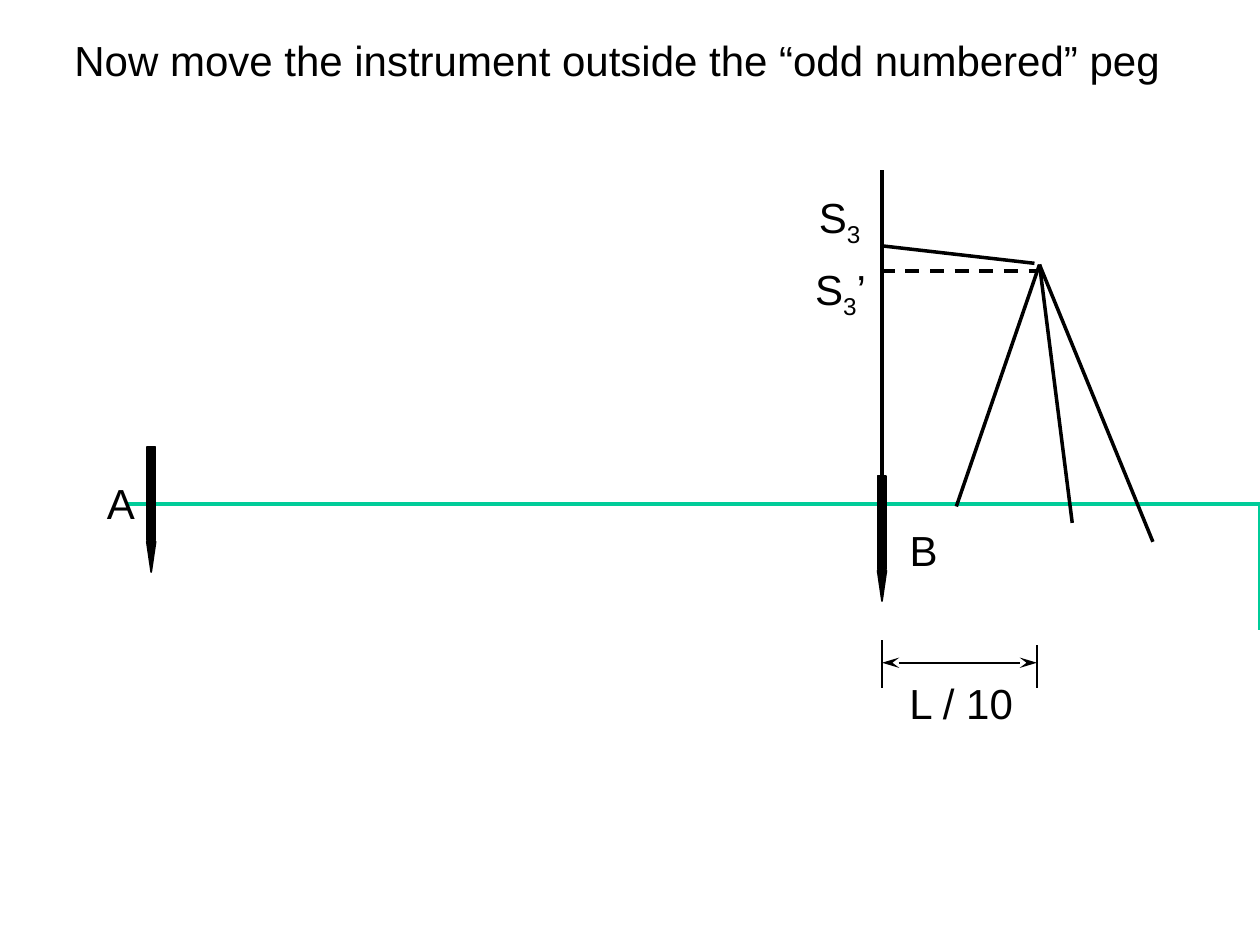
import pptx
import pptx.util
import pptx.dml.color
import pptx.enum.dml
import pptx.enum.shapes
import pptx.enum.text
import pptx.oxml.ns
from lxml import etree

Inches, Pt = pptx.util.Inches, pptx.util.Pt
RGB = pptx.dml.color.RGBColor
SHAPE = pptx.enum.shapes.MSO_SHAPE
STRAIGHT = pptx.enum.shapes.MSO_CONNECTOR.STRAIGHT

THEME = {
    "ink": RGB(0, 0, 0),
    "ground": RGB(0, 0xCC, 0x99),
    "font": "Arial",
    "size": Pt(24),
    "thick": Pt(2),
    "thin": Pt(1),
}

TITLE = ("Now move the instrument outside the “odd numbered” peg", (0.49, 0.22, 8.82, 0.5))

# Each label is a list of (text, is subscript) pieces and a box.
LABELS = [
    ([("S", False), ("3", True), ("’", False)], (6.37, 2.04, 0.61, 0.56)),
    ([("S", False), ("3", True)], (6.4, 1.47, 0.53, 0.56)),
    ([("A", False)], (0.75, 3.74, 0.42, 0.5)),
    ([("B", False)], (7.12, 4.11, 0.42, 0.5)),
    ([("L / 10", False)], (7.12, 5.33, 1.04, 0.5)),
]

GROUND = [
    (0.63, 3.69), (0.68, 3.71), (0.79, 3.72), (0.83, 3.73), (0.87, 3.73), (0.98, 3.75),
    (1.09, 3.75), (1.26, 3.78), (1.3, 3.79), (1.34, 3.79), (1.38, 3.8), (1.44, 3.82),
    (1.6, 3.82), (1.74, 3.83), (1.78, 3.83), (1.91, 3.84), (2.02, 3.86), (2.11, 3.86),
    (2.35, 3.89), (2.6, 3.91), (2.64, 3.93), (2.68, 3.93), (2.74, 3.94), (2.92, 3.94),
    (3.03, 3.95), (3.33, 3.95), (3.44, 3.97), (3.68, 3.99), (3.72, 3.99), (3.82, 4.01),
    (4, 4.01), (4.11, 3.99), (4.67, 3.99), (4.77, 4.01), (4.93, 4.04), (5.08, 4.04),
    (5.2, 4.05), (5.31, 4.05), (5.37, 4.06), (5.53, 4.09), (5.7, 4.1), (5.75, 4.1),
    (5.81, 4.12), (6.92, 4.12), (6.96, 4.1), (7.23, 4.1), (7.27, 4.09), (7.37, 4.09),
    (7.41, 4.08), (7.47, 4.06), (7.51, 4.05), (7.75, 4.05), (7.89, 4.06), (8.07, 4.08),
    (8.18, 4.09), (8.22, 4.09), (8.45, 4.13), (8.49, 4.15), (8.82, 4.17), (8.86, 4.2),
    (9.36, 4.36), (9.6, 4.5), (9.63, 4.52),
]

PEG_WIDTH, PEG_HEIGHT, TIP_HEIGHT = 0.07, 0.74, 0.24
PEG_A, PEG_B = (1.2, 3.55), (7, 3.78)    # centre and top of each peg
STAFF_TOP = 1.35
INSTRUMENT = (8.25, 2.1)
TRIPOD_FEET = [(7.59, 4.02), (9.15, 4.3), (8.51, 4.15)]
SIGHT = ((8.21, 2.09), (6.99, 1.95))
LEVEL = ((6.99, 2.15), (8.24, 2.15))
SPAN_LEFT, SPAN_RIGHT, SPAN_Y, SPAN_BOTTOM = 7, 8.23, 5.26, 5.46
SPAN_TICKS = [(SPAN_LEFT, 5.08), (SPAN_RIGHT, 5.12)]


def apply(target, values):
    for name, value in values.items():
        setattr(target, name, value)


def place(box):
    return [Inches(length) for length in box]


def add_line(page, start, end, width="thick", dash=None, arrows=False):
    line = page.shapes.add_connector(STRAIGHT, *place(start + end))
    line.line.color.rgb = THEME["ink"]
    line.line.width = THEME[width]
    if dash:
        line.line.dash_style = dash
    if arrows:
        for end_name in ("a:headEnd", "a:tailEnd"):
            etree.SubElement(line.line._get_or_add_ln(), pptx.oxml.ns.qn(end_name),
                             type="stealth", w="med", len="lg")
    etree.SubElement(line._element.spPr, pptx.oxml.ns.qn("a:effectLst"))
    return line


def add_solid(page, kind, box):
    solid = page.shapes.add_shape(kind, *place(box))
    solid.shadow.inherit = False
    solid.fill.solid()
    solid.fill.fore_color.rgb = solid.line.color.rgb = THEME["ink"]
    solid.line.width = THEME["thin"]
    return solid


def add_peg(page, centre, top):
    left = centre - PEG_WIDTH / 2
    post = add_solid(page, SHAPE.RECTANGLE, (left, top, PEG_WIDTH, PEG_HEIGHT))
    tip = add_solid(page, SHAPE.ISOSCELES_TRIANGLE,
                    (left, top + PEG_HEIGHT + 0.01, PEG_WIDTH, TIP_HEIGHT))
    tip.rotation = 180
    return post


def add_ground(page):
    builder = page.shapes.build_freeform(*GROUND[0], scale=Inches(1))
    builder.add_line_segments(GROUND[1:], close=False)
    ground = builder.convert_to_shape()
    ground.shadow.inherit = False
    ground.fill.background()
    ground.line.color.rgb = THEME["ground"]
    ground.line.width = THEME["thick"]


def write(box, pieces):
    apply(box.text_frame, {
        "word_wrap": False,
        "auto_size": pptx.enum.text.MSO_AUTO_SIZE.SHAPE_TO_FIT_TEXT,
        "vertical_anchor": pptx.enum.text.MSO_ANCHOR.TOP,
    })
    para = box.text_frame.paragraphs[0]
    para.alignment = pptx.enum.text.PP_ALIGN.LEFT
    for text, subscript in pieces:
        span = para.add_run()
        span.text = text
        apply(span.font, {"name": THEME["font"], "size": THEME["size"]})
        span.font.color.rgb = THEME["ink"]
        if subscript:
            span._r.get_or_add_rPr().set("baseline", "-25000")


def main():
    deck = pptx.Presentation()
    apply(deck, {"slide_width": Inches(10), "slide_height": Inches(7.5)})
    page = deck.slides.add_slide(deck.slide_layouts.get_by_name("Title Only"))

    text, box = TITLE
    title = page.shapes.title
    apply(title, dict(zip(("left", "top", "width", "height"), place(box))))
    write(title, [(text, False)])

    add_line(page, *LEVEL, dash=pptx.enum.dml.MSO_LINE.DASH)
    add_line(page, *SIGHT)
    add_ground(page)
    for foot in TRIPOD_FEET:
        add_line(page, INSTRUMENT, foot)

    add_peg(page, *PEG_A)
    post = add_peg(page, *PEG_B)
    staff = add_line(page, PEG_B, (PEG_B[0], STAFF_TOP))
    staff.begin_connect(post, 0)

    for x, top in SPAN_TICKS:
        add_line(page, (x, top), (x, SPAN_BOTTOM), width="thin")
    add_line(page, (SPAN_LEFT, SPAN_Y), (SPAN_RIGHT, SPAN_Y), width="thin", arrows=True)

    for pieces, box in LABELS:
        write(page.shapes.add_textbox(*place(box)), pieces)

    deck.save("out.pptx")


if __name__ == "__main__":
    main()
